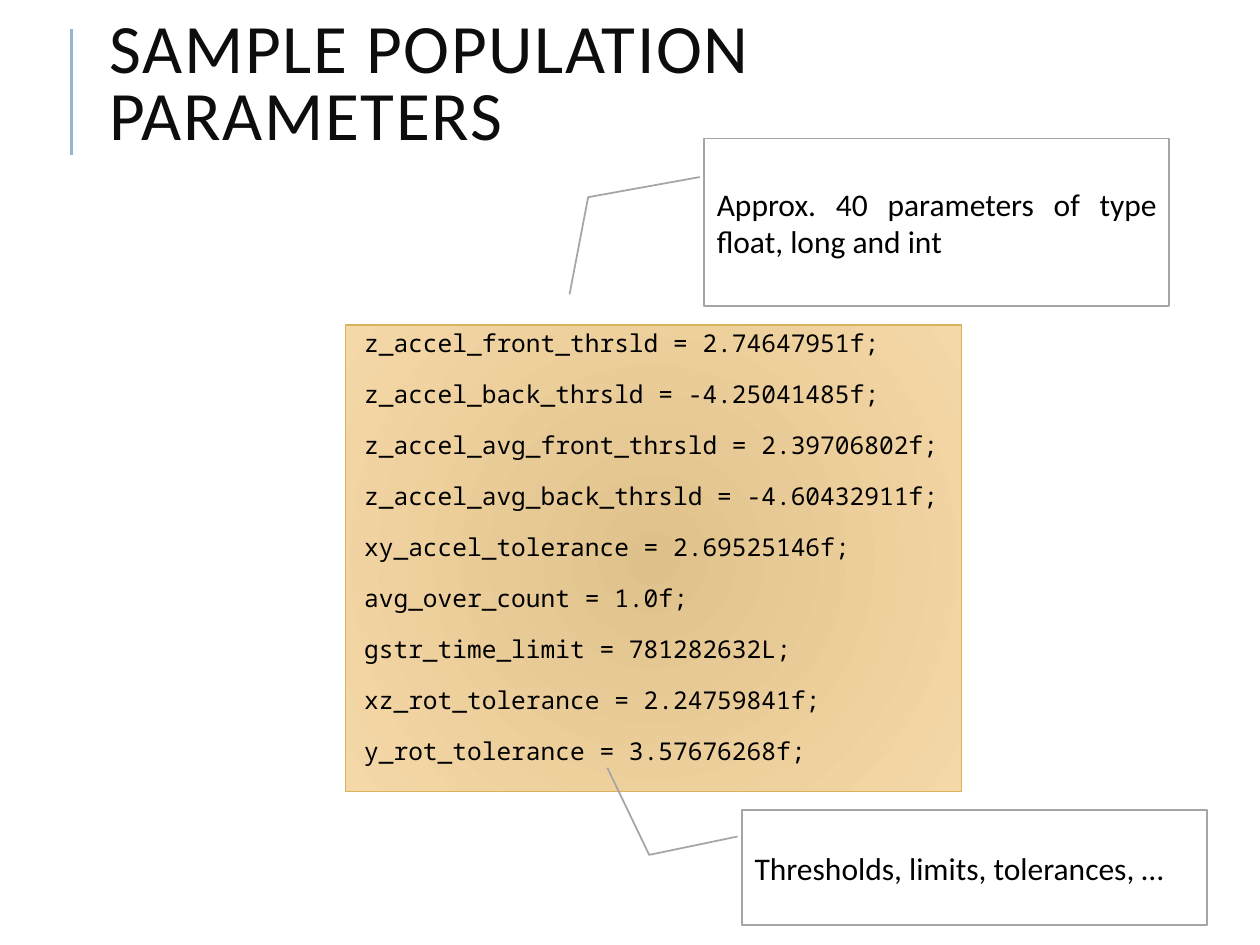
from lxml import etree
from pptx import Presentation
from pptx import util as u
from pptx.dml.color import RGBColor
from pptx.enum import shapes, text
from pptx.oxml import ns

INK = RGBColor(0x00, 0x00, 0x00)
TITLE_INK = RGBColor(0x0D, 0x0D, 0x0D)
WHITE = RGBColor(0xFF, 0xFF, 0xFF)
ACCENT = RGBColor(0x94, 0xB6, 0xD2)
GREY = RGBColor(0xA5, 0xA5, 0xA5)
SAND_DARK = RGBColor(0xDF, 0xC2, 0x8B)
SAND_LIGHT = RGBColor(0xF5, 0xD8, 0xA7)
GOLD = RGBColor(0xD8, 0xB2, 0x5C)

deck = Presentation()
deck.slide_width, deck.slide_height = u.Inches(10), u.Inches(7.5)
page = deck.slides.add_slide(deck.slide_layouts[6])

# The page is a grid of 100 columns by 75 rows with square cells
CELL = deck.slide_width // 100


def cells(*counts):
    return [round(count * CELL) for count in counts]


def write(box, lines, size, font="Calibri", color=INK, align=text.PP_ALIGN.LEFT,
          anchor=text.MSO_ANCHOR.MIDDLE, spacing=1.0, before=0, after=0,
          tracking=0, hanging=0):
    frame = box.text_frame
    frame.word_wrap = True
    frame.vertical_anchor = anchor
    for index, line in enumerate(lines):
        para = frame.add_paragraph() if index else frame.paragraphs[0]
        para.alignment, para.line_spacing = align, spacing
        para.space_before, para.space_after = u.Pt(before), u.Pt(after)
        if hanging:
            props = para._p.get_or_add_pPr()
            indent = round(hanging * CELL)
            props.set("marL", str(indent))
            props.set("indent", str(-indent))
            etree.SubElement(props, ns.qn("a:buChar")).set("char", " ")
        span = para.add_run()
        span.text = line
        span.font.size, span.font.name = u.Pt(size), font
        span.font.color.rgb = color
        if tracking:
            span._r.get_or_add_rPr().set("spc", str(round(tracking * 100)))


# Title with the accent rule on its left
rule = page.shapes.add_connector(shapes.MSO_CONNECTOR.STRAIGHT, *cells(5.7, 12.3, 5.7, 2.3))
rule.line.color.rgb, rule.line.width = ACCENT, u.Pt(1.5)
etree.SubElement(rule._element.spPr, ns.qn("a:effectLst"))

title = page.shapes.add_textbox(*cells(7.7, 3.8, 79.7, 6.2))
write(title, ["SAMPLE POPULATION PARAMETERS"], 39.6, color=TITLE_INK, spacing=0.8, tracking=1)

# Code panel with a radial gradient
panel = page.shapes.add_shape(shapes.MSO_SHAPE.RECTANGLE, *cells(27.4, 25.8, 48.9, 37))
panel.shadow.inherit = False
panel.line.color.rgb, panel.line.width = GOLD, u.Pt(0.75)
panel.fill.gradient()
for stop, position, color in zip(panel.fill.gradient_stops, (0, 1), (SAND_DARK, SAND_LIGHT)):
    stop.position, stop.color.rgb = position, color
linear = panel._element.spPr.find(".//" + ns.qn("a:lin"))
radial = etree.Element(ns.qn("a:path"), {"path": "circle"})
etree.SubElement(radial, ns.qn("a:fillToRect"), {side: "50000" for side in "ltrb"})
linear.getparent().replace(linear, radial)

inset = cells(0.5)[0]
frame = panel.text_frame
frame.margin_left = frame.margin_top = frame.margin_right = frame.margin_bottom = inset
write(panel, [
    "z_accel_front_thrsld = 2.74647951f;",
    "z_accel_back_thrsld = -4.25041485f;",
    "z_accel_avg_front_thrsld = 2.39706802f;",
    "z_accel_avg_back_thrsld = -4.60432911f;",
    "xy_accel_tolerance = 2.69525146f;",
    "avg_over_count = 1.0f;",
    "gstr_time_limit = 781282632L;",
    "xz_rot_tolerance = 2.24759841f;",
    "y_rot_tolerance = 3.57676268f;",
], 14, font="Noto Sans Mono", anchor=text.MSO_ANCHOR.TOP, spacing=0.9,
    before=12, after=2, hanging=1)

# Callouts: place, the leader's elbow and end as (y, x) shares of the box, and wording
callouts = [
    ((55.9, 11, 36.9, 13.3), (0.35, -0.25, 0.93, -0.29),
     "Approx. 40 parameters of type float, long and int"),
    ((58.9, 64.3, 36.9, 9.1), (0.39, -0.2, -0.37, -0.29),
     "Thresholds, limits, tolerances, …"),
]
for place, leader, wording in callouts:
    callout = page.shapes.add_shape(shapes.MSO_SHAPE.LINE_CALLOUT_2, *cells(*place))
    callout.shadow.inherit = False
    callout.fill.solid()
    callout.fill.fore_color.rgb = WHITE
    callout.line.color.rgb, callout.line.width = GREY, u.Pt(1)
    for index, share in enumerate((0.23, -0.01) + leader):
        callout.adjustments[index] = share
    write(callout, [wording], 18, align=text.PP_ALIGN.JUSTIFY, after=12)

deck.save("out.pptx")
